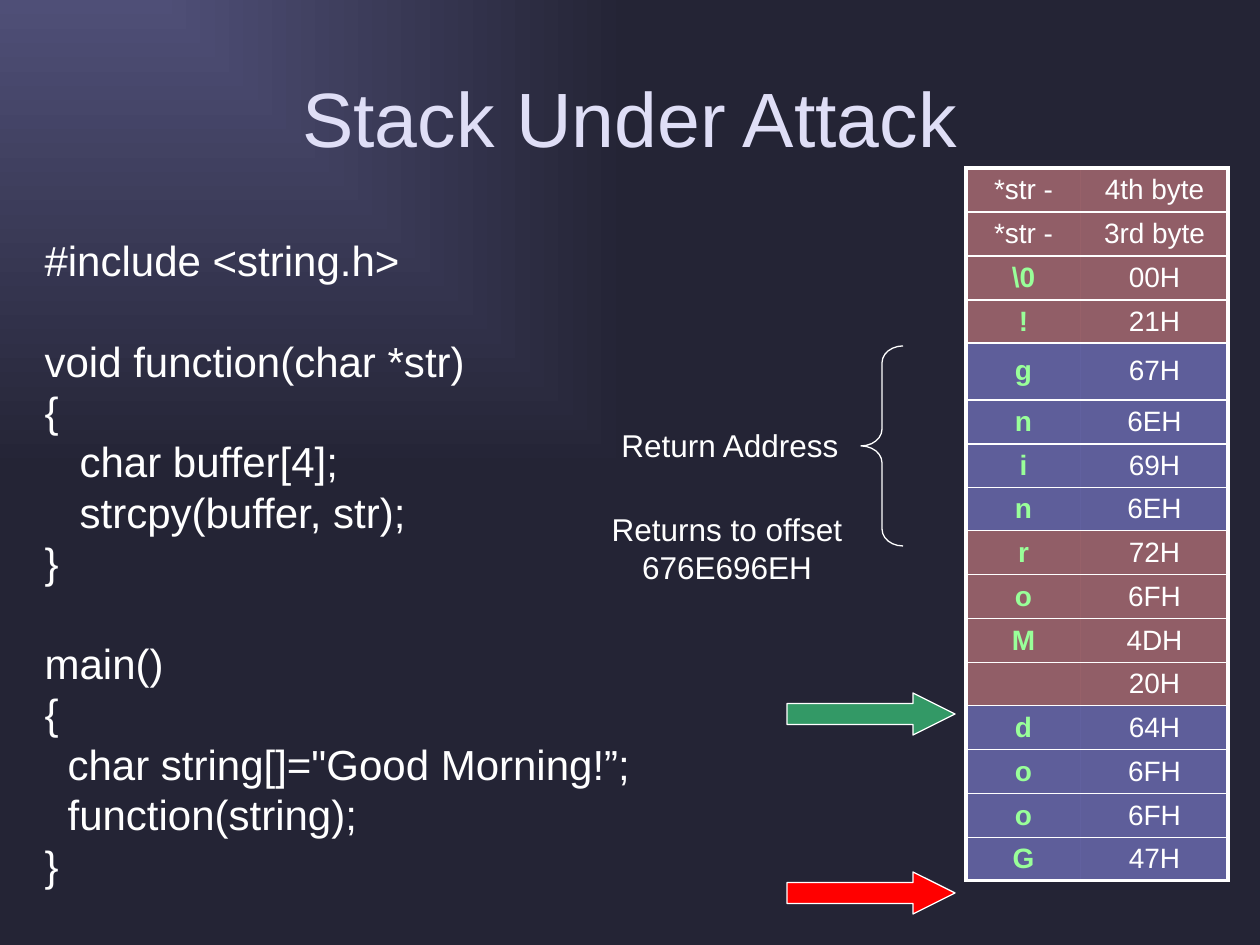
from lxml import etree
from pptx import Presentation
from pptx import util as u
from pptx.dml.color import RGBColor
from pptx.enum import shapes, text
from pptx.oxml import ns

EMU_PER_PX = 914400 / 126
WHITE = RGBColor(0xFF, 0xFF, 0xFF)
LAVENDER = RGBColor(0xDF, 0xDE, 0xF6)
GLOW = RGBColor(0x4F, 0x4F, 0x77)
NIGHT = RGBColor(0x24, 0x24, 0x35)
PINK = RGBColor(0xFF, 0x99, 0x99)
BLUE = RGBColor(0x99, 0x99, 0xFF)
LETTER_GREEN = RGBColor(0x99, 0xFF, 0x99)
ARROW_GREEN = RGBColor(0x33, 0x99, 0x66)
RED = RGBColor(0xFF, 0x00, 0x00)


def px(*lengths):
    """Turn pixel lengths into a list of EMU lengths."""
    return [u.Emu(round(length * EMU_PER_PX)) for length in lengths]


def style(para, size, color, align=text.PP_ALIGN.LEFT):
    para.alignment = align
    for span in para.runs:
        span.font.name = "Arial"
        span.font.size = u.Pt(size)
        span.font.color.rgb = color


deck = Presentation()
deck.slide_width, deck.slide_height = px(1260, 945)
page = deck.slides.add_slide(deck.slide_layouts[1])

# Background glowing from the top left corner
backdrop = page.background.fill
backdrop.gradient()
for stop, color, position in zip(backdrop.gradient_stops, (GLOW, NIGHT), (0, 1)):
    stop.color.rgb = color
    stop.position = position
gradient = page.element.find(".//" + ns.qn("a:gradFill"))
gradient.remove(gradient.find(ns.qn("a:lin")))
glow_shape = etree.SubElement(gradient, ns.qn("a:path"), {"path": "rect"})
etree.SubElement(glow_shape, ns.qn("a:fillToRect"), r="100000", b="100000")

# Title
title = page.shapes.title
title.left, title.top, title.width, title.height = px(63, 38, 1134, 158)
title.text_frame.text = "Stack Under Attack"
title.text_frame.vertical_anchor = text.MSO_ANCHOR.MIDDLE
style(title.text_frame.paragraphs[0], 44, LAVENDER, text.PP_ALIGN.CENTER)

# Code: text, indent in px, lines of gap above
code_lines = [
    ("#include <string.h>", 0, 0),
    ("void function(char *str)", 0, 1),
    ("{", 0, 0),
    ("char buffer[4];", 35, 0),
    ("strcpy(buffer, str);", 35, 0),
    ("}", 0, 0),
    ("main()", 0, 1),
    ("{", 0, 0),
    ('char string[]="Good Morning!”;', 23, 0),
    ("function(string);", 23, 0),
    ("}", 0, 0),
]
code = page.placeholders[1]
code.left, code.top, code.width, code.height = px(32, 228, 777, 667)
code.text_frame.auto_size = text.MSO_AUTO_SIZE.NONE
code.text_frame.text = "\n".join(line for line, indent, gap in code_lines)
for para, (line, indent, gap) in zip(code.text_frame.paragraphs, code_lines):
    style(para, 24, WHITE)
    para.line_spacing = u.Pt(28.8)
    para.space_before = u.Pt(28.8 * gap)
    properties = para._p.get_or_add_pPr()
    properties.set("marL", str(px(indent)[0]))
    properties.set("indent", "0")
    etree.SubElement(properties, ns.qn("a:buNone"))

# Stack contents, from high to low address
stack = [
    ("*str -", "4th byte"), ("*str -", "3rd byte"), ("\\0", "00H"), ("!", "21H"),
    ("g", "67H"), ("n", "6EH"), ("i", "69H"), ("n", "6EH"),
    ("r", "72H"), ("o", "6FH"), ("M", "4DH"), ("", "20H"),
    ("d", "64H"), ("o", "6FH"), ("o", "6FH"), ("G", "47H"),
]
last_row = len(stack) - 1
frame = page.shapes.add_table(len(stack), 2, *px(966, 168, 262, 713))
table = frame.table
table.first_row = table.horz_banding = False
for column, width in zip(table.columns, px(115, 147)):
    column.width = width
for row, entries in enumerate(stack):
    height = 57 if row == 4 else 43 if row % 4 == 3 else 44
    table.rows[row].height = px(height)[0]
    for col, entry in enumerate(entries):
        cell = table.cell(row, col)
        cell.text_frame.text = entry
        cell.vertical_anchor = text.MSO_ANCHOR.MIDDLE
        cell.margin_top = cell.margin_bottom = 0
        para = cell.text_frame.paragraphs[0]
        is_letter = col == 0 and row > 1
        style(para, 16, LETTER_GREEN if is_letter else WHITE, text.PP_ALIGN.CENTER)
        para.font.bold = is_letter

        borders = {
            "a:lnL": 2.25 if col == 0 else 0,
            "a:lnR": 2.25 if col == 1 else 0,
            "a:lnT": 2.25 if row == 0 else 1,
            "a:lnB": 2.25 if row == last_row else 1,
        }
        cell_properties = cell._tc.get_or_add_tcPr()
        for side, points in borders.items():
            border = etree.SubElement(cell_properties, ns.qn(side), w=str(u.Pt(points)))
            if points:
                paint = etree.SubElement(border, ns.qn("a:solidFill"))
                etree.SubElement(paint, ns.qn("a:srgbClr"), val=str(WHITE))
            else:
                etree.SubElement(border, ns.qn("a:noFill"))
        cell.fill.solid()
        cell.fill.fore_color.rgb = BLUE if row // 4 % 2 else PINK
        fill_color = cell_properties.find(ns.qn("a:solidFill"))[0]
        etree.SubElement(fill_color, ns.qn("a:alpha"), val="50000")

# Pointers into the stack and the brace around the return address
ARROW, BRACE = shapes.MSO_SHAPE.RIGHT_ARROW, shapes.MSO_SHAPE.LEFT_BRACE
for kind, bounds, adjustments, color in [
    (ARROW, (787, 872, 168, 42), (0.5, 1), RED),
    (ARROW, (787, 693, 168, 42), (0.5, 1), ARROW_GREEN),
    (BRACE, (861, 346, 42, 200), (0.4, 0.5), None),
]:
    marker = page.shapes.add_shape(kind, *px(*bounds))
    marker.shadow.inherit = False
    for index, adjustment in enumerate(adjustments):
        marker.adjustments[index] = adjustment
    marker.line.color.rgb = WHITE
    marker.line.width = u.Pt(0.75)
    if color is None:
        marker.fill.background()
    else:
        marker.fill.solid()
        marker.fill.fore_color.rgb = color

# Labels beside the brace
for label, bounds, align in [
    ("Return Address", (609, 420, 248, 50), text.PP_ALIGN.LEFT),
    ("Returns to offset\n676E696EH", (599, 504, 256, 88), text.PP_ALIGN.CENTER),
]:
    box = page.shapes.add_textbox(*px(*bounds))
    box.text_frame.word_wrap = True
    box.text_frame.text = label
    for para in box.text_frame.paragraphs:
        style(para, 18, WHITE, align)
        para.line_spacing = u.Pt(21.6)

deck.save("out.pptx")
